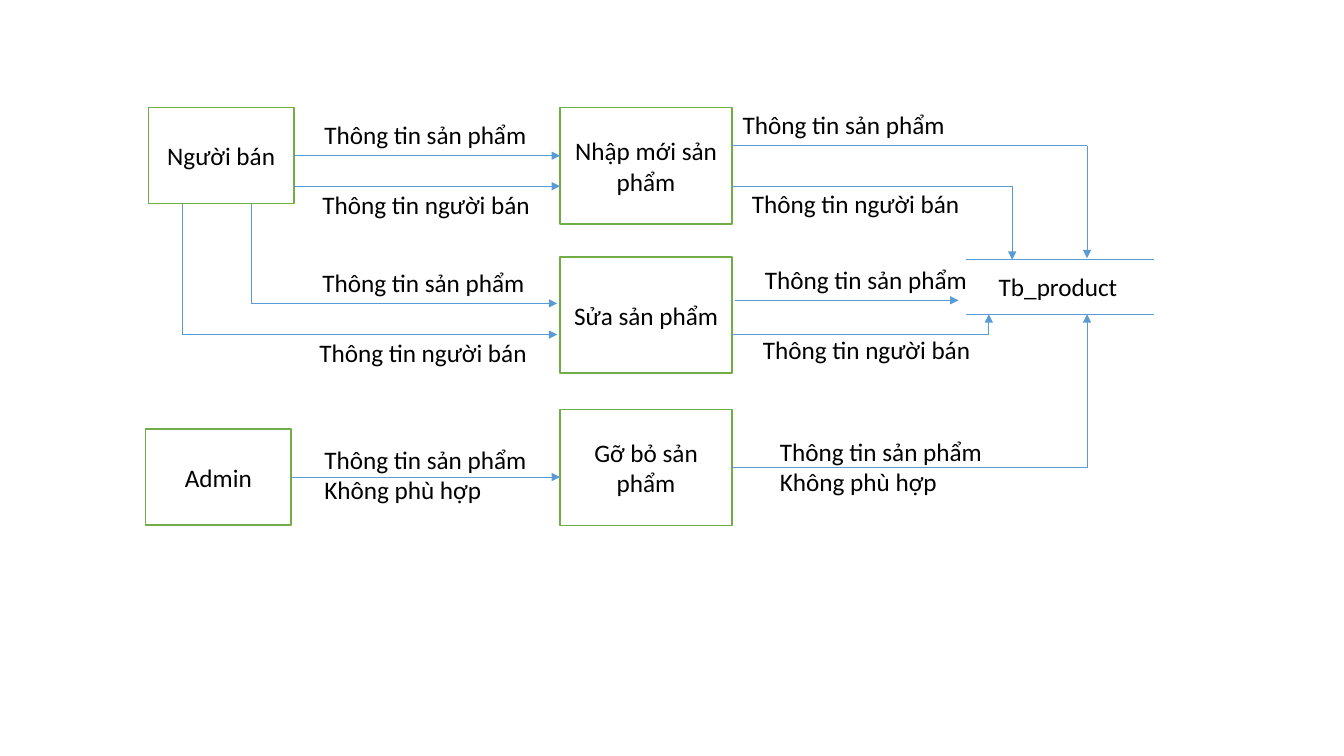
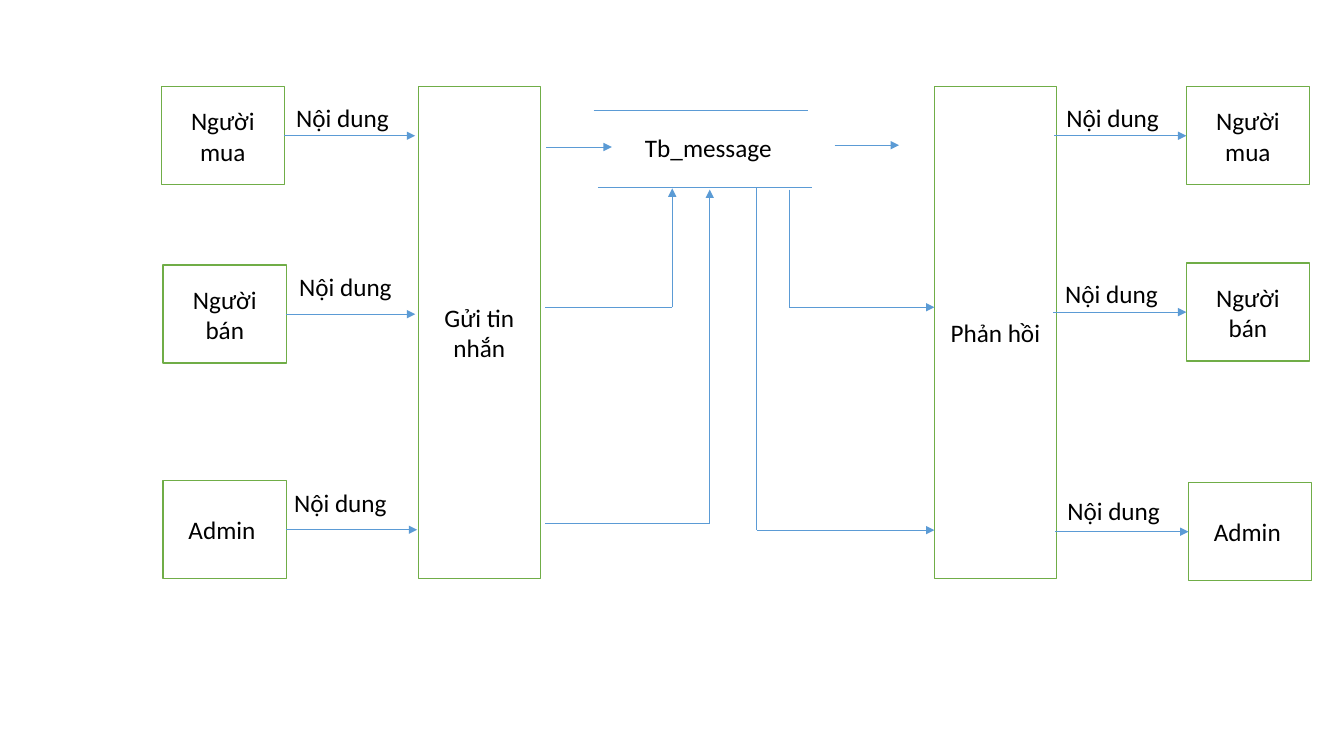
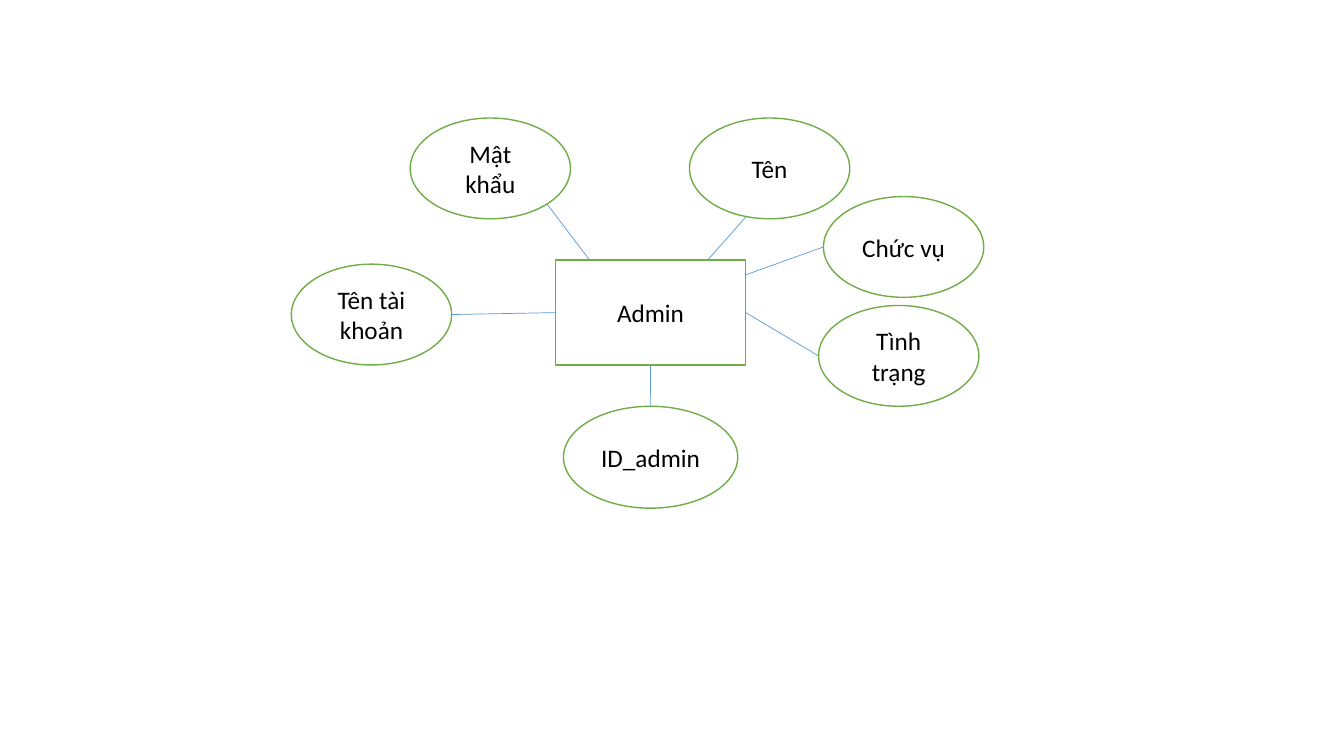
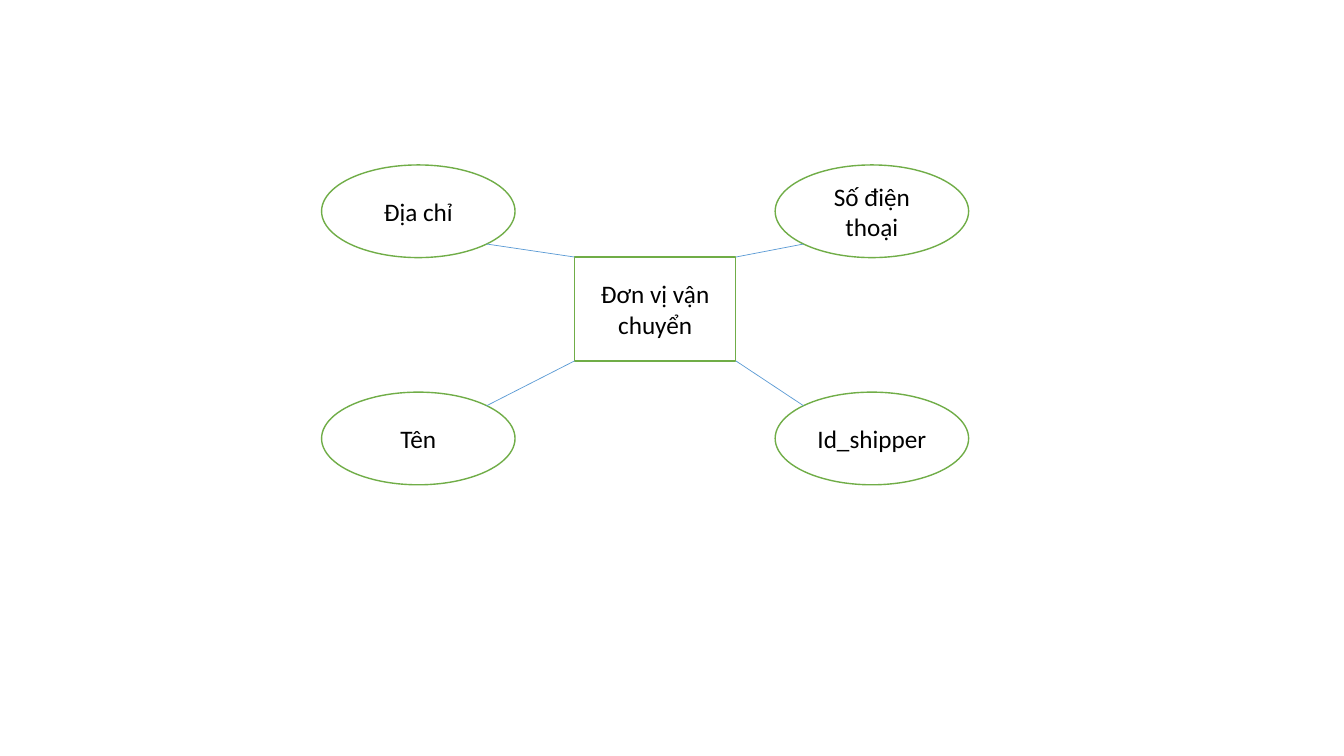
import math
from dataclasses import dataclass
from typing import Any

from lxml import etree
from pptx import Presentation
from pptx import util as u
from pptx.dml.color import RGBColor
from pptx.enum import shapes, text
from pptx.oxml import ns

COLORS = {"paper": "FFFFFF", "border": "70AD47", "flow": "5B9BD5", "ink": "000000"}
FONT = "Calibri"
FONT_SIZE = 18
RECT = shapes.MSO_SHAPE.RECTANGLE
OVAL = shapes.MSO_SHAPE.OVAL
TOP, LEFT, BOTTOM, RIGHT = range(4)
SIDES = {(0.5, 0): TOP, (0, 0.5): LEFT, (0.5, 1): BOTTOM, (1, 0.5): RIGHT}

PRODUCT = ["Thông tin sản phẩm"]
SELLER = ["Thông tin người bán"]
UNSUITABLE = PRODUCT + ["Không phù hợp"]
CONTENT = ["Nội dung"]


def color(key):
    return RGBColor.from_string(COLORS[key])


def write(frame, lines, align):
    for index, line in enumerate(lines):
        paragraph = frame.paragraphs[0] if index == 0 else frame.add_paragraph()
        paragraph.alignment = align
        run = paragraph.add_run()
        run.text = line
        run.font.name = FONT
        run.font.size = u.Pt(FONT_SIZE)
        run.font.color.rgb = color("ink")


@dataclass
class Region:
    slide: Any
    left: float
    top: float

    def place(self, x, y):
        return u.Pt(self.left + x), u.Pt(self.top + y)

    def node(self, kind, x, y, width, height, name):
        node = self.slide.shapes.add_shape(
            kind, *self.place(x, y), u.Pt(width), u.Pt(height))
        node.shadow.inherit = False
        node.fill.solid()
        node.fill.fore_color.rgb = color("paper")
        node.line.color.rgb = color("border")
        node.line.width = u.Pt(1)
        node.text_frame.word_wrap = True
        node.text_frame.vertical_anchor = text.MSO_ANCHOR.MIDDLE
        write(node.text_frame, [name], text.PP_ALIGN.CENTER)
        return node

    def label(self, x, y, width, lines):
        height = 7 + 22 * len(lines)
        label = self.slide.shapes.add_textbox(
            *self.place(x, y), u.Pt(width), u.Pt(height))
        label.text_frame.word_wrap = False
        label.text_frame.auto_size = text.MSO_AUTO_SIZE.SHAPE_TO_FIT_TEXT
        write(label.text_frame, lines, text.PP_ALIGN.LEFT)

    def link(self, *points, arrow=True, source=None, target=None):
        legs = list(zip(points, points[1:]))
        for index, (begin, end) in enumerate(legs):
            leg = self.slide.shapes.add_connector(
                shapes.MSO_CONNECTOR.STRAIGHT, *self.place(*begin), *self.place(*end))
            leg.line.color.rgb = color("flow")
            leg.line.width = u.Pt(0.5)
            last = index == len(legs) - 1
            if arrow and last:
                tail = etree.SubElement(leg.line._get_or_add_ln(), ns.qn("a:tailEnd"))
                tail.set("type", "triangle")
            etree.SubElement(leg._element.spPr, ns.qn("a:effectLst"))
            if source and index == 0:
                leg.begin_connect(*source)
            if target and last:
                leg.end_connect(*target)

    def store(self, x, y, width, height, name, name_at, skew=0):
        self.link((x, y), (x + width, y), arrow=False)
        self.link((x + skew, y + height), (x + skew + width, y + height), arrow=False)
        self.label(*name_at, [name])


def product_flow(region):
    process_x, process_w, process_h = 296, 123, 83
    process_right = process_x + process_w
    remove_y = 215.5
    region.node(RECT, process_x, 0, process_w, process_h, "Nhập mới sản phẩm")
    region.node(RECT, process_x, 106.5, process_w, process_h, "Sửa sản phẩm")
    remove = region.node(RECT, process_x, remove_y, process_w, process_h, "Gỡ bỏ sản phẩm")
    seller = region.node(RECT, 2, 0, 104, 68.5, "Người bán")
    admin = region.node(RECT, 0, 229.5, 104, 68.5, "Admin")
    region.store(586, 108, 134, 39.5, "Tb_product", (602.3, 113, 100))

    region.link((106, 34.25), (process_x, 34.25), source=(seller, RIGHT))
    region.link((106, 56), (process_x, 56))
    region.link((75.3, 68.5), (75.3, 139.7), (294, 139.7))
    region.link((26.3, 68.5), (26.3, 162), (294, 162))
    region.link((104, 263.75), (process_x, 263.75), source=(admin, RIGHT))

    region.link((process_right, 27), (672.5, 27), (672.5, 107.5))
    region.link((process_right, 56), (619, 56), (619, 108.5))
    region.link((process_right + 2, 137.5), (580.7, 137.5))
    region.link((process_right, 162), (602.3, 162), (602.3, 147.5))
    remove_mid = remove_y + process_h / 2
    region.link((process_right, remove_mid), (672.5, remove_mid), (672.5, 147.5),
                source=(remove, RIGHT))

    for x, y in [(120.6, 5), (419.4, -2.8), (119.2, 110.2), (435.3, 108)]:
        region.label(x, y, 160.6, PRODUCT)
    for x, y in [(119.2, 54.8), (426, 54), (117, 160.6), (433.8, 158.4)]:
        region.label(x, y, 165, SELLER)
    for x, y in [(120.6, 237), (446, 231.2)]:
        region.label(x, y, 165, UNSUITABLE)


def actor_row(region, x, y, name, far_x, label_at):
    width, height = 88, 70
    actor = region.node(RECT, x, y, width, height, name)
    middle = y + height / 2
    if far_x > x:
        region.link((x + width, middle), (far_x, middle), source=(actor, RIGHT))
    else:
        region.link((far_x, middle), (x, middle), target=(actor, LEFT))
    region.label(*label_at, 81.4, CONTENT)


def message_flow(region):
    send_x, reply_x, process_w, process_h = 183.8, 552.4, 87.2, 351.4
    region.node(RECT, send_x, 0, process_w, process_h, "Gửi tin nhắn")
    region.node(RECT, reply_x, 0, process_w, process_h, "Phản hồi")
    region.store(309, 16.5, 153, 55.5, "Tb_message", (338.6, 28.7, 110), skew=3)

    actor_rows = [
        (0.2, 0, "Người mua", 181.6, (89.5, 7.8)),
        (1.6, 127.4, "Người bán", 181.6, (91.6, 128)),
        (1.6, 281.4, "Admin ", 183, (88, 282.2)),
        (732.4, 0, "Người mua", 638, (639.6, 7.8)),
        (732.4, 126, "Người bán", 637.4, (638.8, 133)),
        (734, 282.8, "Admin ", 638.8, (640.3, 288.6)),
    ]
    for row in actor_rows:
        actor_row(region, *row)

    region.link((275.2, 43), (322, 43))
    region.link((274.5, 157.5), (365.2, 157.5), (365.2, 72.6))
    region.link((274.5, 311.7), (392, 311.7), (392, 73.4))
    region.link((481.2, 41.7), (527.2, 41.7))
    region.link((448.8, 73.4), (448.8, 157.5), (reply_x, 157.5))
    region.link((425.5, 72), (425.5, 316.7), (reply_x, 316.7))


def entity(region, width, height, name, attributes):
    owner = region.node(RECT, 0, 0, width, height, name)
    for attribute, (x, y, w, h), angle, anchor in attributes:
        region.node(OVAL, x, y, w, h, attribute)
        turn = math.radians(angle)
        rim = (x + w / 2 * (1 + math.cos(turn)), y + h / 2 * (1 + math.sin(turn)))
        source = (owner, SIDES[anchor]) if anchor in SIDES else None
        region.link((width * anchor[0], height * anchor[1]), rim,
                    arrow=False, source=source)


def admin_entity(region):
    size = (114.5, 72)
    entity(region, 136, 75, "Admin", [
        ("ID_admin", (5.8, 104.4, 124.5, 72.8), 270, (0.5, 1)),
        ("Tên tài khoản", (-188.6, 2.9, *size), 0, (0, 0.5)),
        ("Mật khẩu", (-103.7, -101.5, *size), 45, (0.18, 0)),
        ("Tình trạng", (188, 32.4, *size), 180, (1, 0.5)),
        ("Tên", (95.8, -101.5, *size), 107, (0.8, 0)),
        ("Chức vụ", (191.5, -45.4, *size), 180, (1, 0.14)),
    ])


def shipper_entity(region):
    size = (138.2, 66.2)
    left, right, upper, lower = -180.7, 143.3, -65.8, 96.5
    entity(region, 115.2, 74.2, "Đơn vị vận chuyển", [
        ("Tên", (left, lower, *size), 315, (0, 1)),
        ("Id_shipper", (right, lower, *size), 225, (1, 1)),
        ("Địa chỉ", (left, upper, *size), 45, (0, 0)),
        ("Số điện thoại", (right, upper, *size), 135, (1, 0)),
    ])


def main():
    deck = Presentation()
    deck.slide_width, deck.slide_height = u.Pt(960), u.Pt(540)
    diagrams = [
        (product_flow, 104, 77),
        (message_flow, 115, 62),
        (admin_entity, 396.7, 185.8),
        (shipper_entity, 410.4, 183.6),
    ]
    for draw, left, top in diagrams:
        slide = deck.slides.add_slide(deck.slide_layouts[6])
        draw(Region(slide, left, top))
    deck.save("out.pptx")


if __name__ == "__main__":
    main()
